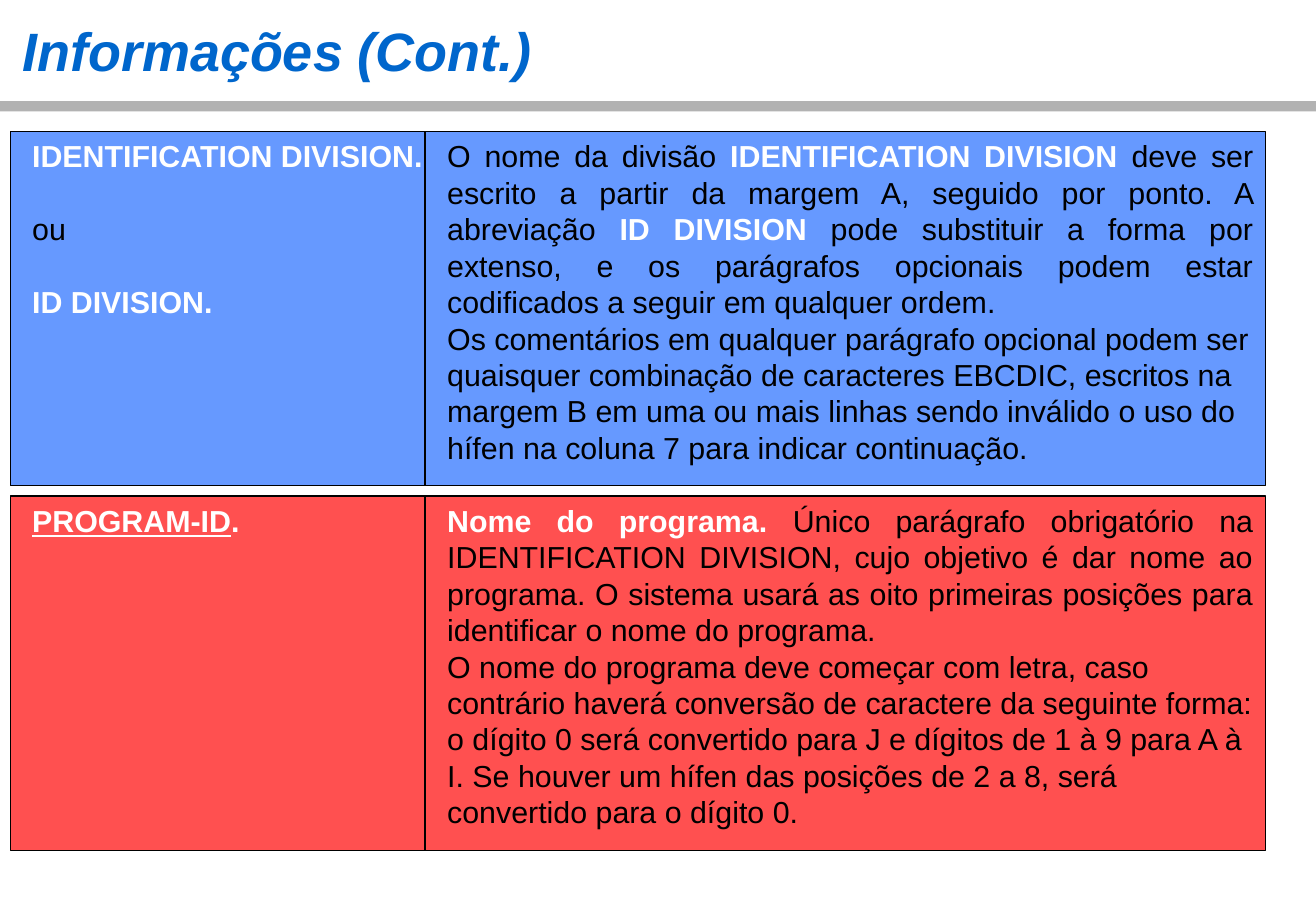
from pptx import Presentation
from pptx.dml.color import RGBColor
from pptx.enum.shapes import MSO_CONNECTOR, MSO_SHAPE
from pptx.enum.text import PP_ALIGN
from pptx.oxml.ns import qn
from pptx.util import Emu, Pt
from lxml import etree

# Content: a run is (text, style); a paragraph is (alignment, runs)
COLORS = {"title": "0066CC", "bar": "B2B2B2", "blue": "6699FF",
          "red": "FF5050", "black": "000000", "white": "FFFFFF"}
STYLES = {
    "title": dict(size=32, color="title", bold=True, italic=True),
    "plain": dict(size=18, color="black"),
    "key": dict(size=18, color="white", bold=True),
    "under": dict(size=18, color="white", bold=True, underline=True),
}
LEFT, JUST = PP_ALIGN.LEFT, PP_ALIGN.JUSTIFY
TITLE = [(LEFT, [("Informações (Cont.)", "title")])]
PANELS = [
    ("blue",
     [(LEFT, [("IDENTIFICATION DIVISION.", "key")]),
      (LEFT, [("ou", "plain")]),
      (LEFT, [("ID DIVISION.", "key")])],
     [(JUST, [("O nome da divisão ", "plain"),
              ("IDENTIFICATION DIVISION", "key"),
              (" deve ser escrito a partir da margem A, seguido por ponto. "
               "A abreviação ", "plain"),
              ("ID DIVISION", "key"),
              (" pode substituir a forma por extenso, e os parágrafos "
               "opcionais podem estar codificados a seguir em qualquer "
               "ordem.", "plain")]),
      (LEFT, [("Os comentários em qualquer parágrafo opcional podem ser "
               "quaisquer combinação de caracteres EBCDIC, escritos na "
               "margem B em uma ou mais linhas sendo inválido o uso do "
               "hífen na coluna 7 para indicar continuação.", "plain")])]),
    ("red",
     [(LEFT, [("PROGRAM-ID", "under"), (".", "key")])],
     [(JUST, [("Nome do programa. ", "key"),
              ("Único parágrafo obrigatório na IDENTIFICATION DIVISION, "
               "cujo objetivo é dar nome ao programa. O sistema usará as "
               "oito primeiras posições para identificar o nome do "
               "programa.", "plain")]),
      (LEFT, [("O nome do programa deve começar com letra, caso contrário "
               "haverá conversão de caractere da seguinte forma: o dígito 0 "
               "será convertido para J e dígitos de 1 à 9 para A à I. Se "
               "houver um hífen das posições de 2 a 8, será convertido para "
               "o dígito 0.", "plain")])]),
]

# Layout in px, 120 to the inch; the page is A4 paper width in EMU
PX = 914400 // 120
PAGE_W, PAGE_H = Emu(9907588), Emu(6858000)
BAR = (0, 100, 1300, 10)
TITLE_BOX = (14, 9, 600, 80)
PANEL_X, PANEL_Y, PANEL_W, PANEL_H, GAP = 10, 130, 1240, 350, 10
TERM_X, TERM_W, DIVIDER_X, NOTE_X, NOTE_W = 20, 420, 420, 430, 820
LINE_PT = 21.6


def px(*values):
    return [v * PX for v in values]


def rgb(name):
    return RGBColor.from_string(COLORS[name])


def add_rect(s, box, fill, outlined=True):
    sp = s.shapes.add_shape(MSO_SHAPE.RECTANGLE, *px(*box))
    sp.shadow.inherit = False
    sp.fill.solid()
    sp.fill.fore_color.rgb = rgb(fill)
    if outlined:
        sp.line.color.rgb = rgb("black")
        sp.line.width = Pt(0.75)
    else:
        sp.line.fill.background()


def add_divider(s, x, top, bottom):
    ln = s.shapes.add_connector(MSO_CONNECTOR.STRAIGHT, *px(x, top, x, bottom))
    ln.line.color.rgb = rgb("black")
    ln.line.width = Pt(0.75)
    etree.SubElement(ln._element.spPr, qn("a:effectLst"))


def add_text(s, box, paragraphs, inset=(12, 6), line=None, gap=0):
    tf = s.shapes.add_textbox(*px(*box)).text_frame
    tf.word_wrap = True
    tf.margin_left = tf.margin_right = inset[0] * PX
    tf.margin_top = tf.margin_bottom = inset[1] * PX
    for i, (align, runs) in enumerate(paragraphs):
        p = tf.add_paragraph() if i else tf.paragraphs[0]
        p.alignment = align
        if line:
            p.line_spacing = Pt(line)
        if i and gap:
            p.space_before = Pt(gap)
        for text, style in runs:
            look = STYLES[style]
            r = p.add_run()
            r.text = text
            r.font.name = "Arial"
            r.font.size = Pt(look["size"])
            r.font.color.rgb = rgb(look["color"])
            r.font.bold = look.get("bold", False)
            r.font.italic = look.get("italic", False)
            r.font.underline = look.get("underline", False)


def main():
    prs = Presentation()
    prs.slide_width, prs.slide_height = PAGE_W, PAGE_H
    s = prs.slides.add_slide(prs.slide_layouts[6])

    # Heading
    add_rect(s, BAR, "bar", outlined=False)
    add_text(s, TITLE_BOX, TITLE, inset=(8, 8))

    # Panels: term on the left, explanation on the right
    for i, (fill, term, note) in enumerate(PANELS):
        top = PANEL_Y + i * (PANEL_H + GAP)
        add_rect(s, (PANEL_X, top, PANEL_W, PANEL_H), fill)
        add_text(s, (TERM_X, top, TERM_W, PANEL_H), term,
                 line=LINE_PT, gap=LINE_PT)
        add_text(s, (NOTE_X, top, NOTE_W, PANEL_H), note, line=LINE_PT)
        add_divider(s, DIVIDER_X, top, top + PANEL_H)

    prs.save("out.pptx")


if __name__ == "__main__":
    main()
